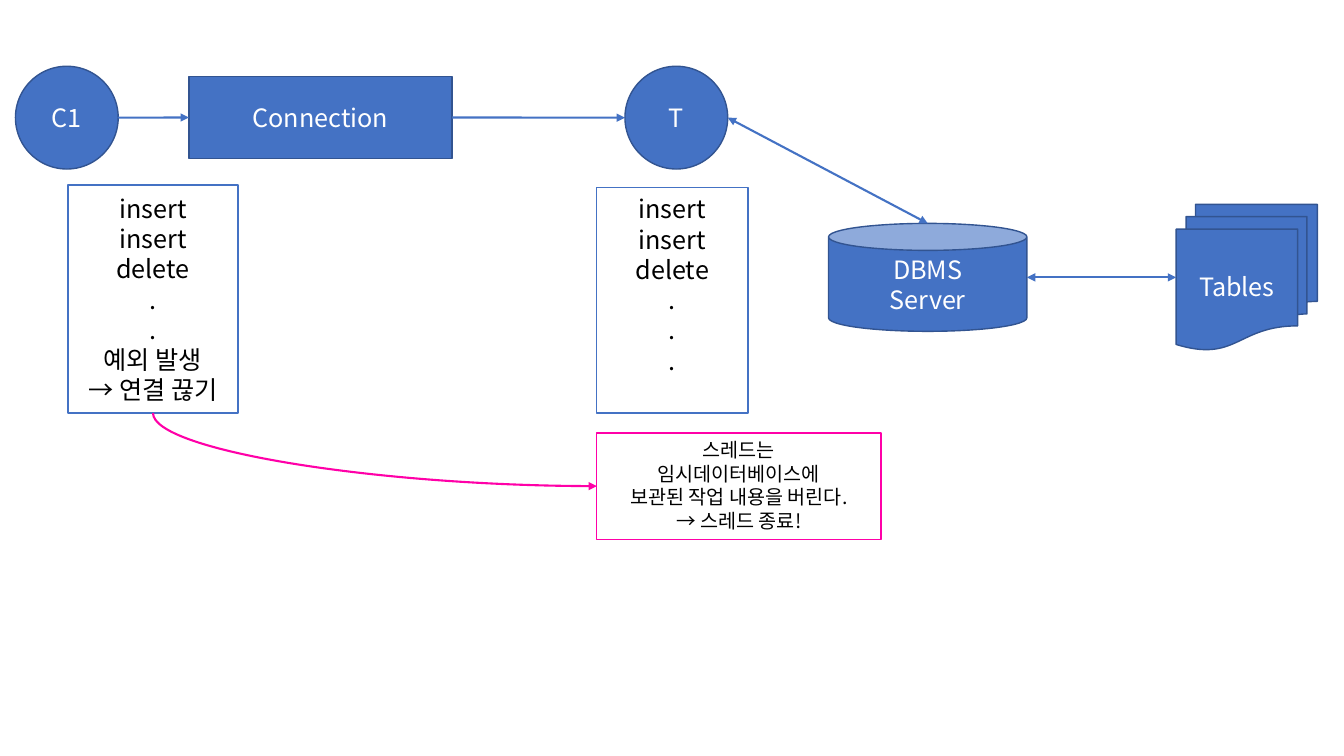
import pptx
import pptx.dml.color
import pptx.enum.shapes
import pptx.enum.text
import pptx.oxml
import pptx.oxml.ns
import pptx.util
from pptx.util import Cm

COLORS = {
    "blue": "4472C4",
    "outline": "325491",
    "pink": "FF00A8",
    "white": "FFFFFF",
    "black": "000000",
}
FONT = "Noto Sans CJK KR"
SHAPES = pptx.enum.shapes.MSO_SHAPE
CONNECTORS = pptx.enum.shapes.MSO_CONNECTOR
ANCHORS = pptx.enum.text.MSO_ANCHOR


def color(name):
    """Return the named colour."""
    return pptx.dml.color.RGBColor.from_string(COLORS[name])


def add_child(parent, tag, **attributes):
    """Append a drawing element to its parent."""
    child = parent.makeelement(pptx.oxml.ns.qn(tag), attributes)
    parent.append(child)


def add_box(slide, kind, box, text, fill="blue", line="outline", ink="white",
            size=18, anchor=ANCHORS.MIDDLE):
    """Add a preset shape with centred text in box (left, top, width, height)."""
    shape = slide.shapes.add_shape(kind, *map(Cm, box))
    shape.shadow.inherit = False
    shape.fill.solid()
    shape.fill.fore_color.rgb = color(fill)
    shape.line.color.rgb = color(line)
    shape.line.width = pptx.util.Pt(1)
    frame = shape.text_frame
    frame.word_wrap = True
    frame.vertical_anchor = anchor
    frame.text = text
    for paragraph in frame.paragraphs:
        paragraph.alignment = pptx.enum.text.PP_ALIGN.CENTER
        for run in paragraph.runs:
            run.font.name = FONT
            run.font.size = pptx.util.Pt(size)
            run.font.color.rgb = color(ink)
            add_child(run.font._element, "a:ea", typeface=FONT)
    return shape


def add_note(slide, box, text, line="blue", **options):
    """Add a white outlined box with black text."""
    return add_box(slide, SHAPES.RECTANGLE, box, text, "white", line, "black", **options)


def add_arrow(slide, start, end, line="blue", both=False, kind=CONNECTORS.STRAIGHT):
    """Add an arrow between two points, pointing both ways on request."""
    connector = slide.shapes.add_connector(kind, *start, *end)
    connector.line.color.rgb = color(line)
    connector.line.width = pptx.util.Pt(1.5)
    outline = connector.line._get_or_add_ln()
    if both:
        add_child(outline, "a:headEnd", type="triangle")
    add_child(outline, "a:tailEnd", type="triangle")
    add_child(connector._element.spPr, "a:effectLst")
    return connector


def add_bend(slide, start, end, line):
    """Add a quarter curve that leaves start downwards and enters end from the left."""
    across, down = end[0] - start[0], end[1] - start[1]
    middle_x, middle_y = (start[0] + end[0]) // 2, (start[1] + end[1]) // 2
    connector = add_arrow(slide,
                          (middle_x + down // 2, middle_y - across // 2),
                          (middle_x - down // 2, middle_y + across // 2),
                          line, kind=CONNECTORS.CURVE)
    properties = connector._element.spPr
    properties.find(pptx.oxml.ns.qn("a:prstGeom")).set("prst", "curvedConnector2")
    properties.find(pptx.oxml.ns.qn("a:xfrm")).set("rot", str(270 * 60000))


def edge(shape, x, y):
    """Return the point at fractions x and y of the shape's box."""
    return (int(shape.left + shape.width * x), int(shape.top + shape.height * y))


def add_client(slide, left, top):
    """Add the client, its connection and its commands; return all three."""
    client = add_box(slide, SHAPES.OVAL, (left, top, 2.59, 2.59), "C1")
    connection = add_box(slide, SHAPES.RECTANGLE,
                         (left + 4.37, top + 0.26, 6.63, 2.06), "Connection")
    commands = add_note(slide, (left + 1.32, top + 2.99, 4.29, 5.75),
                        "insert\ninsert\ndelete\n.\n.\n예외 발생\n→ 연결 끊기")
    add_arrow(slide, edge(client, 1, 0.5), edge(connection, 0, 0.5))
    return connection, commands


def add_thread(slide, left, top):
    """Add the server thread, its commands and its ending; return thread and ending."""
    thread = add_box(slide, SHAPES.OVAL, (left + 0.71, top, 2.59, 2.59), "T")
    commands = add_note(slide, (left, top + 3.06, 3.81, 5.68),
                        "insert\ninsert\ndelete\n.\n.\n.", anchor=ANCHORS.TOP)
    commands.text_frame.margin_top = Cm(0.15)
    ending = add_note(slide, (left, top + 9.24, 7.16, 2.68),
                      "스레드는\n임시데이터베이스에\n보관된 작업 내용을 버린다.\n→ 스레드 종료!",
                      line="pink", size=14, anchor=ANCHORS.TOP)
    return thread, ending


def add_database(slide, left, top):
    """Add the database server and its tables; return the server."""
    server = add_box(slide, SHAPES.CAN, (left, top + 0.48, 5, 2.72), "DBMS\nServer")
    tables = add_box(slide, SHAPES.FLOWCHART_MULTIDOCUMENT,
                     (left + 8.76, top, 3.56, 3.67), "Tables")
    # The arrow meets the front sheet of the stack, level with the server.
    server_side = edge(server, 1, 0.5)
    add_arrow(slide, server_side, (tables.left, server_side[1]), both=True)
    return server


def build_diagram(slide):
    """Place the three regions and join them."""
    connection, commands = add_client(slide, 0.39, 1.67)
    thread, ending = add_thread(slide, 15.04, 1.67)
    server = add_database(slide, 20.88, 5.15)
    add_arrow(slide, edge(connection, 1, 0.5), edge(thread, 0, 0.5))
    add_arrow(slide, edge(thread, 1, 0.5), edge(server, 0.5, 0), both=True)
    add_bend(slide, edge(commands, 0.5, 1), edge(ending, 0, 0.5), "pink")


presentation = pptx.Presentation()
presentation.slide_width = Cm(33.87)
presentation.slide_height = Cm(19.05)
build_diagram(presentation.slides.add_slide(presentation.slide_layouts[6]))
presentation.save("out.pptx")
